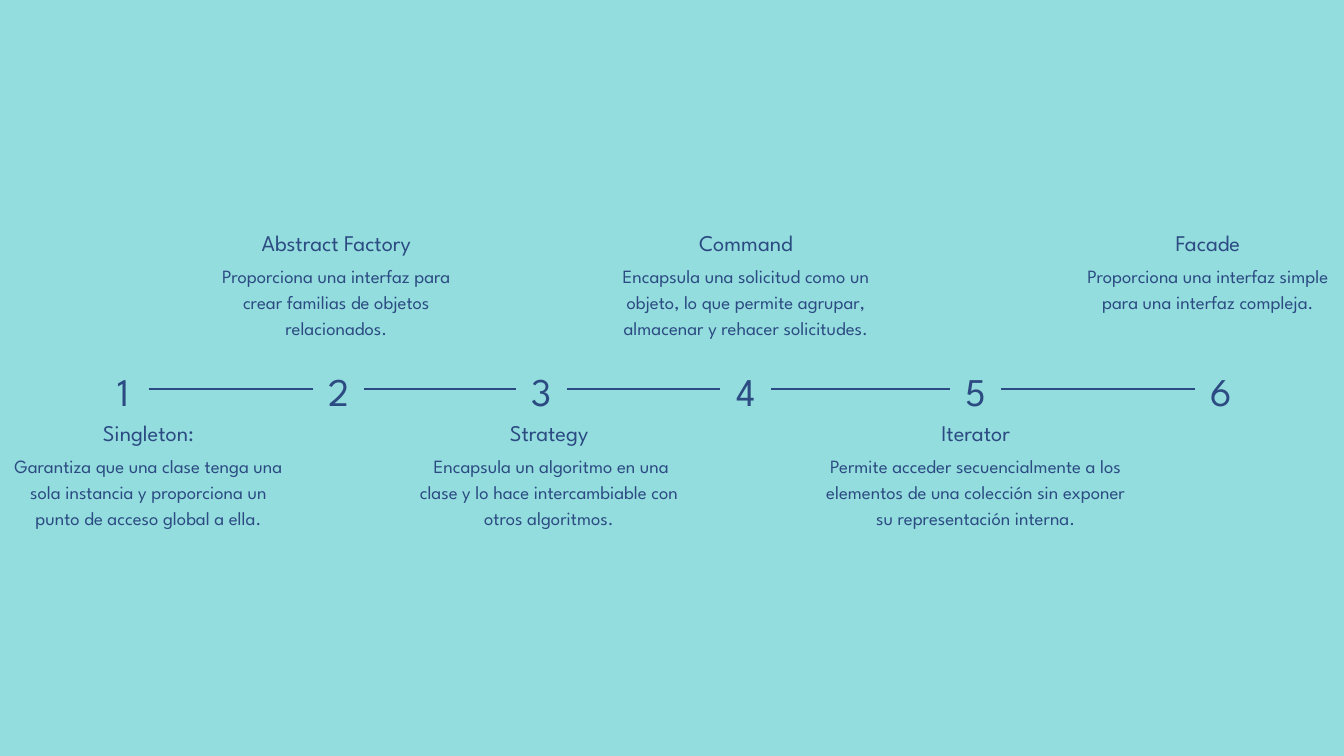
from itertools import pairwise

from lxml.etree import SubElement
from pptx import Presentation
from pptx.dml.color import RGBColor
from pptx.enum.shapes import MSO_CONNECTOR
from pptx.enum.text import MSO_AUTO_SIZE, PP_ALIGN
from pptx.oxml.ns import qn
from pptx.util import Inches, Pt

AQUA = RGBColor(0x94, 0xDD, 0xDE)
NAVY = RGBColor(0x2B, 0x4B, 0x82)
FONT = "League Spartan"
LEADING = 1.4  # line spacing as a multiple of the text size

NUMBER_WIDTH, NUMBER_HEIGHT, NUMBER_TOP = 0.76, 0.79, 5.35
LINE_Y = 5.79
TOP_ABOVE, TOP_BELOW = 3.34, 6.17
NAME_HEIGHT, SUMMARY_HEIGHT, SUMMARY_OFFSET = 0.45, 1.15, 0.54

# number's left edge, caption's left edge, caption's width, name, summary
PATTERNS = [
    (1.45, 0.1, 4.22, "Singleton:",
     "Garantiza que una clase tenga una sola instancia y proporciona un "
     "punto de acceso global a ella."),
    (4.66, 3.16, 3.69, "Abstract Factory",
     "Proporciona una interfaz para crear familias de objetos relacionados."),
    (7.68, 6.07, 4.2, "Strategy",
     " Encapsula un algoritmo en una clase y lo hace intercambiable con "
     "otros algoritmos."),
    (10.72, 8.99, 4.22, "Command",
     "Encapsula una solicitud como un objeto, lo que permite agrupar, "
     "almacenar y rehacer solicitudes."),
    (14.14, 12.25, 4.54, "Iterator",
     "Permite acceder secuencialmente a los elementos de una colección sin "
     "exponer su representación interna."),
    (17.79, 16.05, 3.85, "Facade",
     "Proporciona una interfaz simple para una interfaz compleja."),
]


def add_text(shapes, left, top, width, height, text, size):
    """Add a centred text box without margins and return its run."""
    box = shapes.add_textbox(Inches(left), Inches(top), Inches(width), Inches(height))
    frame = box.text_frame
    frame.margin_left = frame.margin_right = 0
    frame.margin_top = frame.margin_bottom = 0
    frame.word_wrap = True
    frame.auto_size = MSO_AUTO_SIZE.SHAPE_TO_FIT_TEXT
    frame.text = text
    paragraph = frame.paragraphs[0]
    paragraph.alignment = PP_ALIGN.CENTER
    paragraph.line_spacing = Pt(size * LEADING)
    run = paragraph.runs[0]
    run.font.name = FONT
    run.font.size = Pt(size)
    run.font.color.rgb = NAVY
    return run


presentation = Presentation()
presentation.slide_width = Inches(20)
presentation.slide_height = Inches(11.25)
slide = presentation.slides.add_slide(presentation.slide_layouts[6])
slide.background.fill.solid()
slide.background.fill.fore_color.rgb = AQUA

# Numbers on the timeline, with captions alternating below and above it
for number, (number_left, left, width, name, summary) in enumerate(PATTERNS, start=1):
    top = TOP_BELOW if number % 2 else TOP_ABOVE
    caption = slide.shapes.add_group_shape().shapes
    add_text(caption, left, top + SUMMARY_OFFSET, width, SUMMARY_HEIGHT, summary, 20)
    add_text(caption, left, top, width, NAME_HEIGHT, name, 24)

    digit = add_text(slide.shapes, number_left, NUMBER_TOP, NUMBER_WIDTH,
                     NUMBER_HEIGHT, str(number), 42)
    digit.font._element.set("spc", "720")

# Lines between neighbouring numbers
for (start, *_), (end, *_) in pairwise(PATTERNS):
    link = slide.shapes.add_connector(
        MSO_CONNECTOR.STRAIGHT,
        Inches(start + NUMBER_WIDTH), Inches(LINE_Y), Inches(end), Inches(LINE_Y))
    link.line.color.rgb = NAVY
    link.line.width = Pt(2.25)
    SubElement(link._element.spPr, qn("a:effectLst"))

presentation.save("out.pptx")
